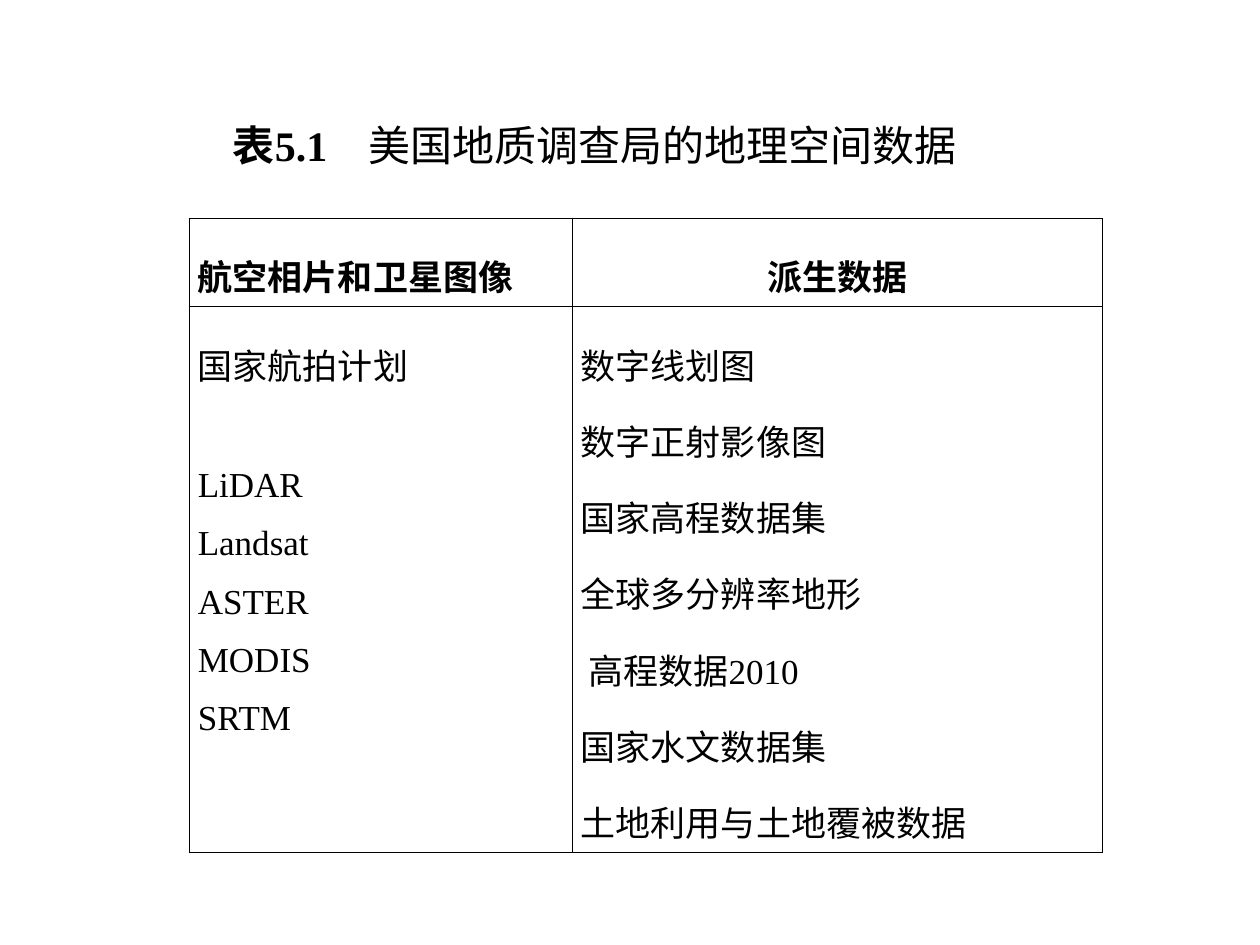
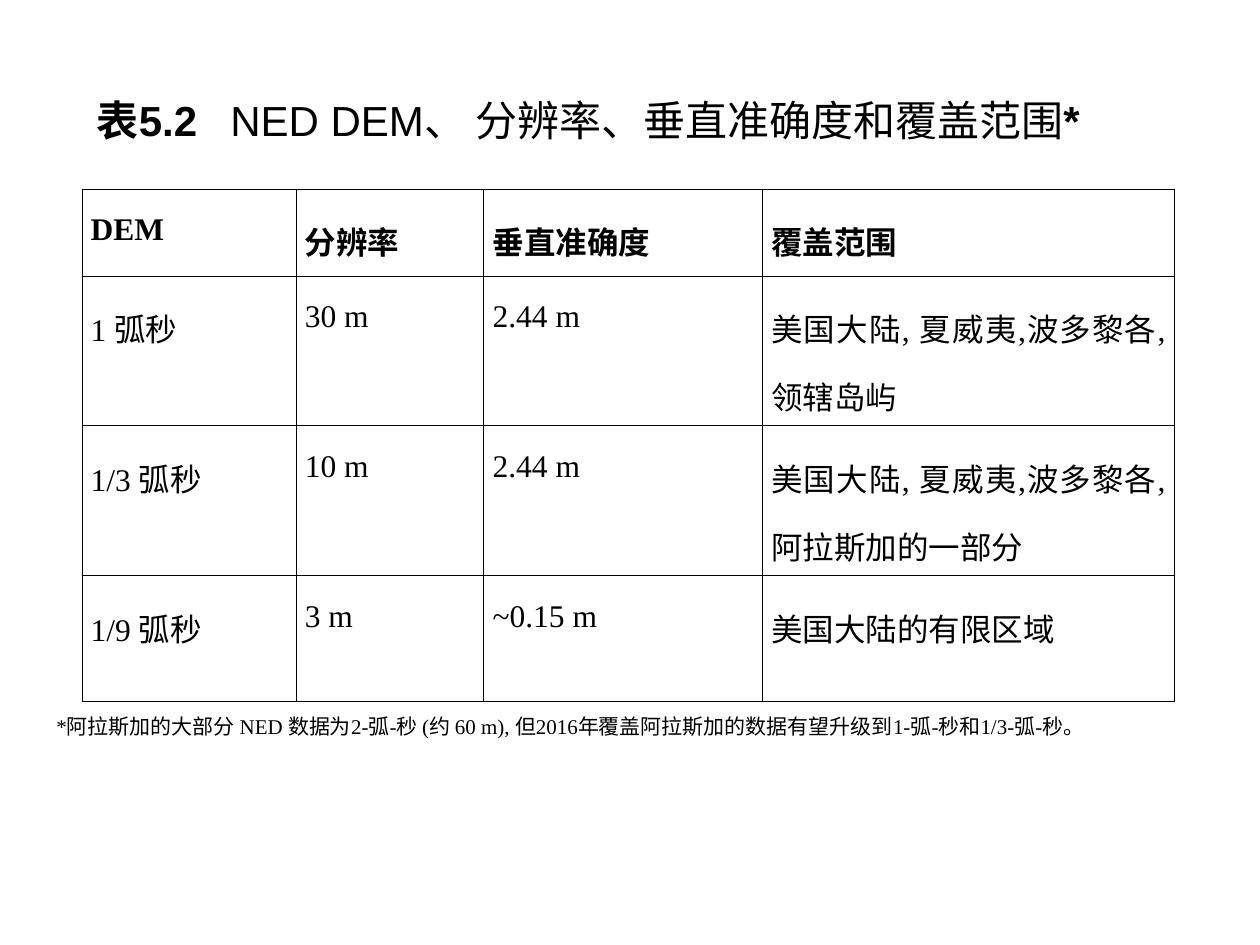
from lxml.etree import SubElement
from pptx import Presentation
from pptx.dml.color import RGBColor
from pptx.enum.text import MSO_ANCHOR, PP_ALIGN
from pptx.oxml.ns import qn
from pptx.util import Inches, Pt

BLACK = RGBColor(0x00, 0x00, 0x00)
WHITE = RGBColor(0xFF, 0xFF, 0xFF)
SERIF = "Times New Roman"
SANS = "Arial"
CHINESE = "Noto Sans CJK SC"
TITLE_SIZE = 24
BORDER_WIDTH = Pt(0.45)


def add_span(paragraph, text, font=SERIF, size=18, bold=False):
    """Add text with one font for Latin letters and one for Chinese."""
    span = paragraph.add_run()
    span.text = text
    span.font.name = font
    span.font.size = Pt(size)
    span.font.bold = bold
    span.font.color.rgb = BLACK
    SubElement(span.font._element, qn("a:ea"), typeface=CHINESE)


class Page:
    def __init__(self, deck):
        self.slide = deck.slides.add_slide(deck.slide_layouts[6])
        self.slide.background.fill.solid()
        self.slide.background.fill.fore_color.rgb = WHITE

    def text(self, place, spans, anchor=MSO_ANCHOR.MIDDLE, wrap=True, tab=None):
        """Add a one-paragraph box; spans are pairs of text and format."""
        box = self.slide.shapes.add_textbox(*map(Inches, place))
        frame = box.text_frame
        frame.word_wrap = wrap
        frame.vertical_anchor = anchor
        paragraph = frame.paragraphs[0]
        if tab:
            stops = SubElement(paragraph._p.get_or_add_pPr(), qn("a:tabLst"))
            SubElement(stops, qn("a:tab"), pos=str(Inches(tab)), algn="l")
        for text, style in spans:
            add_span(paragraph, text, **style)

    def title(self, place, number, subject, tab, font, mark="", **layout):
        """Add a bold table number, then its subject at the tab stop."""
        style = {"font": font, "size": TITLE_SIZE}
        spans = [(number + "\t", {**style, "bold": True}), (subject, style)]
        if mark:
            spans.append((mark, {**style, "bold": True}))
        self.text(place, spans, tab=tab, **layout)

    def table(self, left, top, widths, heights, rows, size, inset):
        """Add a ruled table; a cell is a string or a list of lines."""
        table = self.slide.shapes.add_table(
            len(rows), len(widths), Inches(left), Inches(top),
            Inches(sum(widths)), Inches(sum(heights))).table
        table.first_row = table.horz_banding = False
        for column, width in zip(table.columns, widths):
            column.width = Inches(width)
        for r, (row, height) in enumerate(zip(rows, heights)):
            table.rows[r].height = Inches(height)
            for c, content in enumerate(row):
                cell = table.cell(r, c)
                cell.margin_left = cell.margin_right = Inches(inset)
                self.rule(cell)
                cell.fill.background()
                lines = [content] if isinstance(content, str) else content
                for i, line in enumerate(lines):
                    frame = cell.text_frame
                    paragraph = frame.add_paragraph() if i else frame.paragraphs[0]
                    paragraph.alignment = PP_ALIGN.JUSTIFY
                    paragraph.line_spacing = 1.5
                    add_span(paragraph, line, size=size, bold=r == 0)
        return table

    def rule(self, cell):
        """Draw a thin black border on the four sides of a cell."""
        for side in ("lnL", "lnR", "lnT", "lnB"):
            line = SubElement(cell._tc.get_or_add_tcPr(), qn("a:" + side),
                              w=str(BORDER_WIDTH))
            fill = SubElement(line, qn("a:solidFill"))
            SubElement(fill, qn("a:srgbClr"), val=str(BLACK))


def geospatial_data(deck):
    page = Page(deck)
    images = ["国家航拍计划", "LiDAR", "Landsat", "ASTER", "MODIS", "SRTM"]
    derived = ["数字线划图", "数字正射影像图", "国家高程数据集", "全球多分辨率地形",
               "高程数据2010", "国家水文数据集", "土地利用与土地覆被数据"]
    table = page.table(1.5, 1.73, [3.04, 4.21], [0.61, 3.53],
                       [["航空相片和卫星图像", "派生数据"], [images, derived]],
                       size=20, inset=0.07)
    table.cell(0, 1).text_frame.paragraphs[0].alignment = PP_ALIGN.CENTER

    # Gap after the aerial programme, indent of the continued name
    lidar = table.cell(1, 0).text_frame.paragraphs[images.index("LiDAR")]
    lidar.space_before = Pt(33)
    elevation = table.cell(1, 1).text_frame.paragraphs[derived.index("高程数据2010")]
    elevation._p.get_or_add_pPr().set("marL", str(Inches(0.06)))

    page.title((1.75, 0.9, 6.65, 0.5), "表5.1", "美国地质调查局的地理空间数据",
               tab=1.08, font=SERIF)


def elevation_models(deck):
    page = Page(deck)
    page.title((0.67, 0.7, 8.75, 0.97), "表5.2",
               "NED DEM、 分辨率、垂直准确度和覆盖范围", tab=1.06, font=SANS,
               mark="*", anchor=MSO_ANCHOR.TOP)
    rows = [
        ["DEM", "分辨率", "垂直准确度", "覆盖范围"],
        ["1 弧秒", "30 m", "2.44 m", "美国大陆, 夏威夷,波多黎各, 领辖岛屿"],
        ["1/3 弧秒", "10 m", "2.44 m", "美国大陆, 夏威夷,波多黎各, 阿拉斯加的一部分"],
        ["1/9 弧秒", "3 m", "~0.15 m", "美国大陆的有限区域"],
    ]
    page.table(0.65, 1.5, [1.7, 1.49, 2.21, 3.27], [0.69, 1.19, 1.19, 1],
               rows, size=18, inset=0.07)

    # Footnote
    note = ("*阿拉斯加的大部分 NED 数据为2-弧-秒 (约 60 m), 但2016年覆盖阿拉斯加的"
            "数据有望升级到1-弧-秒和1/3-弧-秒。")
    page.text((0.35, 5.61, 9.2, 0.3), [(note, {"size": 12})], wrap=False)


def main():
    deck = Presentation()
    deck.slide_width = Inches(10)
    deck.slide_height = Inches(7.5)
    geospatial_data(deck)
    elevation_models(deck)
    deck.save("out.pptx")


if __name__ == "__main__":
    main()
